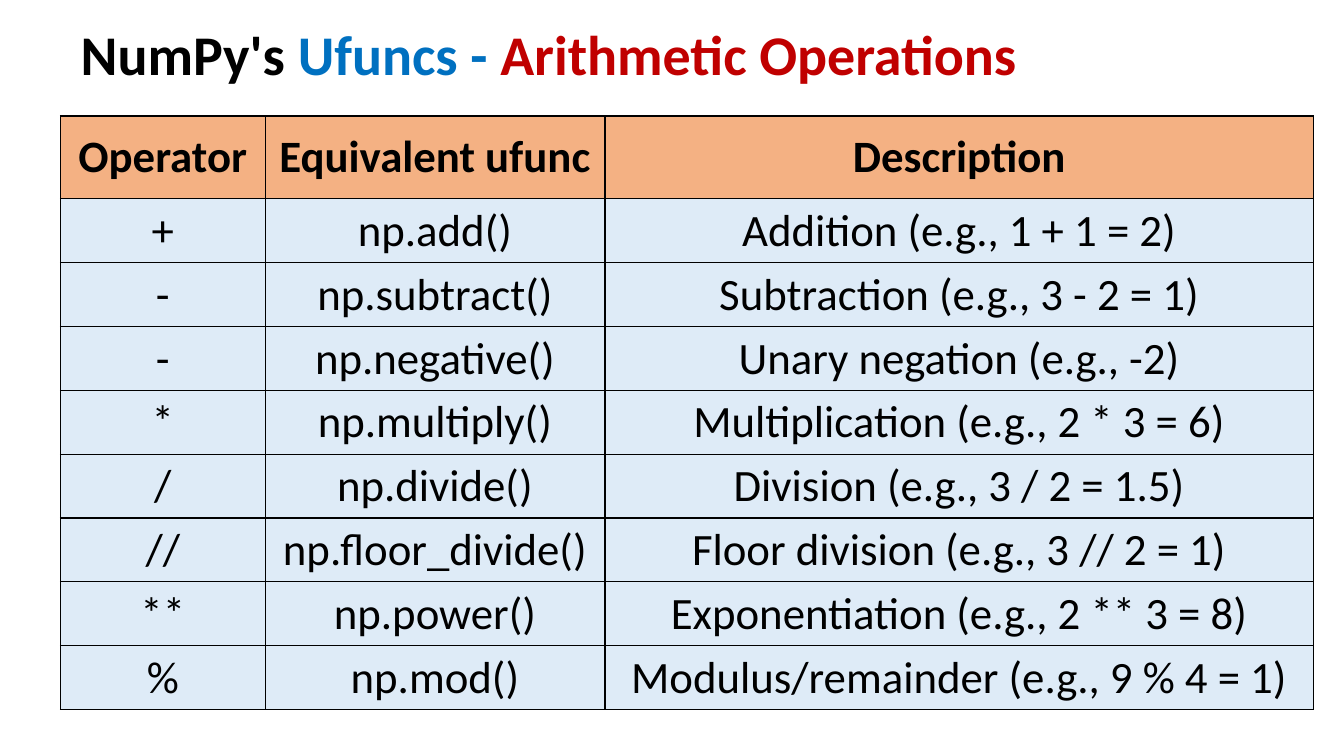
"""Build a slide that lists NumPy's arithmetic ufuncs in a table."""

from dataclasses import dataclass
from typing import NamedTuple

import lxml.etree
import pptx
import pptx.dml.color
import pptx.enum.text
import pptx.oxml.ns
import pptx.slide
import pptx.table
import pptx.util


@dataclass(frozen=True)
class Theme:
    font: str = "Calibri"
    title_size: int = 40
    table_size: int = 32
    ink: str = "000000"
    blue: str = "0070C0"
    red: str = "C00000"
    header_fill: str = "F4B183"
    body_fill: str = "DEEBF7"
    border_width: int = 1


class TitlePart(NamedTuple):
    text: str
    color: str


class Operation(NamedTuple):
    operator: str
    ufunc: str
    description: str


THEME = Theme()
TITLE_PARTS = [
    TitlePart("NumPy's ", THEME.ink),
    TitlePart("Ufuncs - ", THEME.blue),
    TitlePart("Arithmetic Operations", THEME.red),
]
HEADINGS = Operation("Operator", "Equivalent ufunc", "Description")
OPERATIONS = [
    Operation("+", "np.add()", "Addition (e.g., 1 + 1 = 2)"),
    Operation("-", "np.subtract()", "Subtraction (e.g., 3 - 2 = 1)"),
    Operation("-", "np.negative()", "Unary negation (e.g., -2)"),
    Operation("*", "np.multiply()", "Multiplication (e.g., 2 * 3 = 6)"),
    Operation("/", "np.divide()", "Division (e.g., 3 / 2 = 1.5)"),
    Operation("//", "np.floor_divide()", "Floor division (e.g., 3 // 2 = 1)"),
    Operation("**", "np.power()", "Exponentiation (e.g., 2 ** 3 = 8)"),
    Operation("%", "np.mod()", "Modulus/remainder (e.g., 9 % 4 = 1)"),
]
COLUMN_WIDTHS = [2.03, 3.37, 7.03]
HEADER_HEIGHT = 0.82
ROW_HEIGHT = 0.6


def rgb(color: str) -> pptx.dml.color.RGBColor:
    return pptx.dml.color.RGBColor.from_string(color)


def add_title(slide: pptx.slide.Slide) -> None:
    title = slide.shapes.title
    title.left, title.top = pptx.util.Inches(0.7), pptx.util.Inches(0.14)
    title.width, title.height = pptx.util.Inches(11.17), pptx.util.Inches(0.77)
    frame = title.text_frame
    frame.word_wrap = True
    frame.auto_size = pptx.enum.text.MSO_AUTO_SIZE.SHAPE_TO_FIT_TEXT
    frame.vertical_anchor = pptx.enum.text.MSO_ANCHOR.TOP
    heading = frame.paragraphs[0]
    heading.alignment = pptx.enum.text.PP_ALIGN.LEFT
    heading.font.name = THEME.font
    heading.font.size = pptx.util.Pt(THEME.title_size)
    heading.font.bold = True
    for part in TITLE_PARTS:
        run = heading.add_run()
        run.text = part.text
        run.font.color.rgb = rgb(part.color)


def add_borders(cell: pptx.table._Cell) -> None:
    qn = pptx.oxml.ns.qn
    properties = cell._tc.get_or_add_tcPr()
    for side in ("a:lnL", "a:lnR", "a:lnT", "a:lnB"):
        border = lxml.etree.SubElement(
            properties, qn(side), w=str(pptx.util.Pt(THEME.border_width))
        )
        fill = lxml.etree.SubElement(border, qn("a:solidFill"))
        lxml.etree.SubElement(fill, qn("a:srgbClr"), val=THEME.ink)


def format_cell(cell: pptx.table._Cell, text: str, is_header: bool) -> None:
    cell.text = text
    cell.vertical_anchor = pptx.enum.text.MSO_ANCHOR.MIDDLE
    add_borders(cell)
    cell.fill.solid()
    cell.fill.fore_color.rgb = rgb(THEME.header_fill if is_header else THEME.body_fill)
    label = cell.text_frame.paragraphs[0]
    label.alignment = pptx.enum.text.PP_ALIGN.CENTER
    label.font.name = THEME.font
    label.font.size = pptx.util.Pt(THEME.table_size)
    label.font.bold = is_header
    label.font.color.rgb = rgb(THEME.ink)


def add_operations(slide: pptx.slide.Slide) -> None:
    entries = [HEADINGS, *OPERATIONS]
    operations = slide.shapes.add_table(
        len(entries),
        len(COLUMN_WIDTHS),
        pptx.util.Inches(0.6),
        pptx.util.Inches(1.15),
        pptx.util.Inches(sum(COLUMN_WIDTHS)),
        pptx.util.Inches(HEADER_HEIGHT + ROW_HEIGHT * len(OPERATIONS)),
    ).table
    operations.horz_banding = False
    for column, width in zip(operations.columns, COLUMN_WIDTHS):
        column.width = pptx.util.Inches(width)
    for index, entry in enumerate(entries):
        is_header = index == 0
        height = HEADER_HEIGHT if is_header else ROW_HEIGHT
        operations.rows[index].height = pptx.util.Inches(height)
        for cell, text in zip(operations.rows[index].cells, entry):
            format_cell(cell, text, is_header)


def main() -> None:
    presentation = pptx.Presentation()
    presentation.slide_width = pptx.util.Inches(13.33)
    presentation.slide_height = pptx.util.Inches(7.5)
    slide = presentation.slides.add_slide(presentation.slide_layouts[5])
    add_operations(slide)
    add_title(slide)
    presentation.save("out.pptx")


if __name__ == "__main__":
    main()
